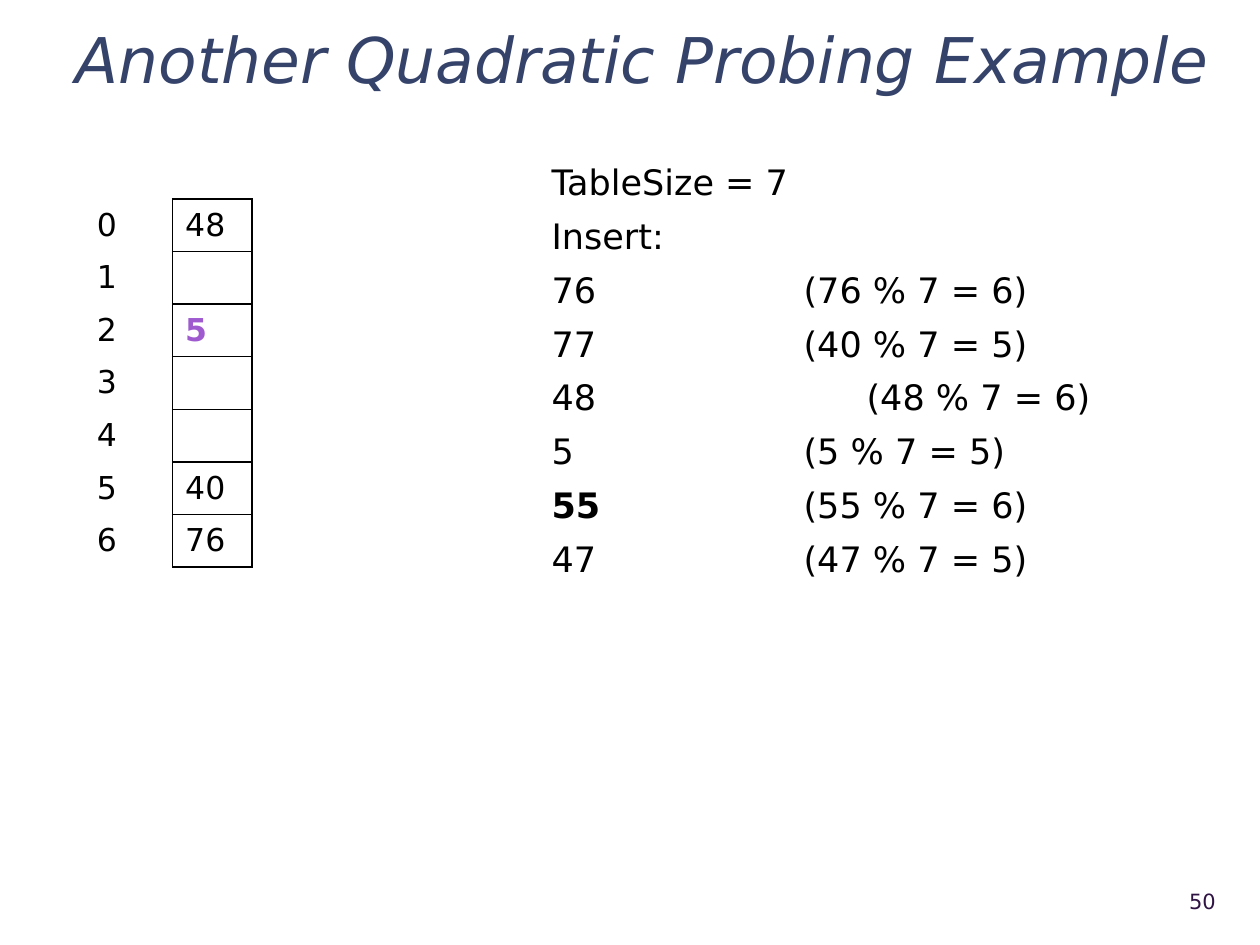
import pptx
import pptx.dml.color
import pptx.enum.text
import pptx.oxml
import pptx.oxml.ns
import pptx.util
from pptx.util import Cm, Pt

TITLE = "Another Quadratic Probing Example"
PAGE_NUMBER = "50"
SLOTS = ["48", "", "5", "", "", "40", "76"]
NEW_SLOT = 2
HEADINGS = ["TableSize = 7", "Insert:"]
INSERTIONS = [
    ("76", "(76 % 7 = 6)"),
    ("77", "(40 % 7 = 5)"),
    ("48", "(48 % 7 = 6)"),
    ("5", "(5 % 7 = 5)"),
    ("55", "(55 % 7 = 6)"),
    ("47", "(47 % 7 = 5)"),
]
CURRENT_KEY = "55"
INDENTED_KEY = "48"

FONT = "DejaVu Sans"
NAVY = pptx.dml.color.RGBColor(0x35, 0x43, 0x6A)
PLUM = pptx.dml.color.RGBColor(0x2F, 0x13, 0x43)
PURPLE = pptx.dml.color.RGBColor(0x9F, 0x5A, 0xD0)
BLACK = pptx.dml.color.RGBColor(0, 0, 0)
MIDDLE = pptx.enum.text.MSO_ANCHOR.MIDDLE
LEFT = pptx.enum.text.PP_ALIGN.LEFT
RIGHT = pptx.enum.text.PP_ALIGN.RIGHT

ROW_HEIGHT = Cm(1.06)
COLUMN_WIDTHS = [Cm(1.78), Cm(1.6)]
HASH_TAB = Cm(5.08)
INDENTED_TAB = Cm(6.35)


def style(para, size, color, bold=False, italic=False, align=LEFT):
    para.alignment = align
    font = para.font
    font.name, font.size = FONT, Pt(size)
    font.bold, font.italic = bold, italic
    font.color.rgb = color


def place(shape, left, top, width, height):
    shape.left, shape.top = Cm(left), Cm(top)
    shape.width, shape.height = Cm(width), Cm(height)


def add_tab(para, position):
    properties = para._p.get_or_add_pPr()
    properties.append(pptx.oxml.parse_xml(
        f'<a:tabLst {pptx.oxml.ns.nsdecls("a")}>'
        f'<a:tab pos="{int(position)}" algn="l"/></a:tabLst>'))


def set_borders(cell, sides):
    properties = cell._tc.get_or_add_tcPr()
    for index, side in enumerate(sides):
        properties.insert(index, pptx.oxml.parse_xml(
            f'<a:ln{side} {pptx.oxml.ns.nsdecls("a")} w="12700"><a:solidFill>'
            f'<a:srgbClr val="{BLACK}"/></a:solidFill></a:ln{side}>'))


def add_hash_table(page):
    frame = page.shapes.add_table(
        len(SLOTS), 2, Cm(1.7), Cm(4.01), sum(COLUMN_WIDTHS), ROW_HEIGHT * len(SLOTS))
    table = frame.table
    table.first_row = table.horz_banding = False
    for column, width in zip(table.columns, COLUMN_WIDTHS):
        column.width = width
    for number, value in enumerate(SLOTS):
        table.rows[number].height = ROW_HEIGHT
        for column, text in enumerate([str(number), value]):
            cell = table.cell(number, column)
            cell.text = text
            cell.vertical_anchor = MIDDLE
            cell.fill.background()
            is_new = column == 1 and number == NEW_SLOT
            style(cell.text_frame.paragraphs[0], 18, PURPLE if is_new else BLACK, is_new)
            set_borders(cell, "LRTB" if column else "R")


def add_insertions(page):
    box = page.shapes.add_textbox(Cm(10.87), Cm(3.12), Cm(12.24), Cm(11.79))
    frame = box.text_frame
    frame.word_wrap = True
    for index, parts in enumerate([(heading,) for heading in HEADINGS] + INSERTIONS):
        para = frame.add_paragraph() if index else frame.paragraphs[0]
        if index:
            para.space_before = Pt(6.7)
        key = para.add_run()
        key.text = parts[0]
        if len(parts) > 1:
            add_tab(para, INDENTED_TAB if parts[0] == INDENTED_KEY else HASH_TAB)
            para.add_run().text = "\t" + parts[1]
        style(para, 20, BLACK)
        if parts[0] == CURRENT_KEY:
            key.font.bold = True


def main():
    deck = pptx.Presentation()
    deck.slide_width, deck.slide_height = Cm(25.4), Cm(19.05)
    page = deck.slides.add_slide(deck.slide_layouts[5])

    title = page.shapes.title
    place(title, 1.27, 0.43, 23.5, 1.35)
    title.text_frame.text = TITLE
    title.text_frame.auto_size = pptx.enum.text.MSO_AUTO_SIZE.NONE
    title.text_frame.vertical_anchor = MIDDLE
    heading = title.text_frame.paragraphs[0]
    heading.line_spacing = 1.1
    style(heading, 36, NAVY, italic=True)

    number = page.shapes.add_textbox(Cm(22.58), Cm(17.65), Cm(2.18), Cm(1.02))
    number.text_frame.word_wrap = True
    number.text_frame.vertical_anchor = MIDDLE
    number.text_frame.text = PAGE_NUMBER
    style(number.text_frame.paragraphs[0], 12, PLUM, align=RIGHT)

    add_hash_table(page)
    add_insertions(page)
    deck.save("out.pptx")


if __name__ == "__main__":
    main()
